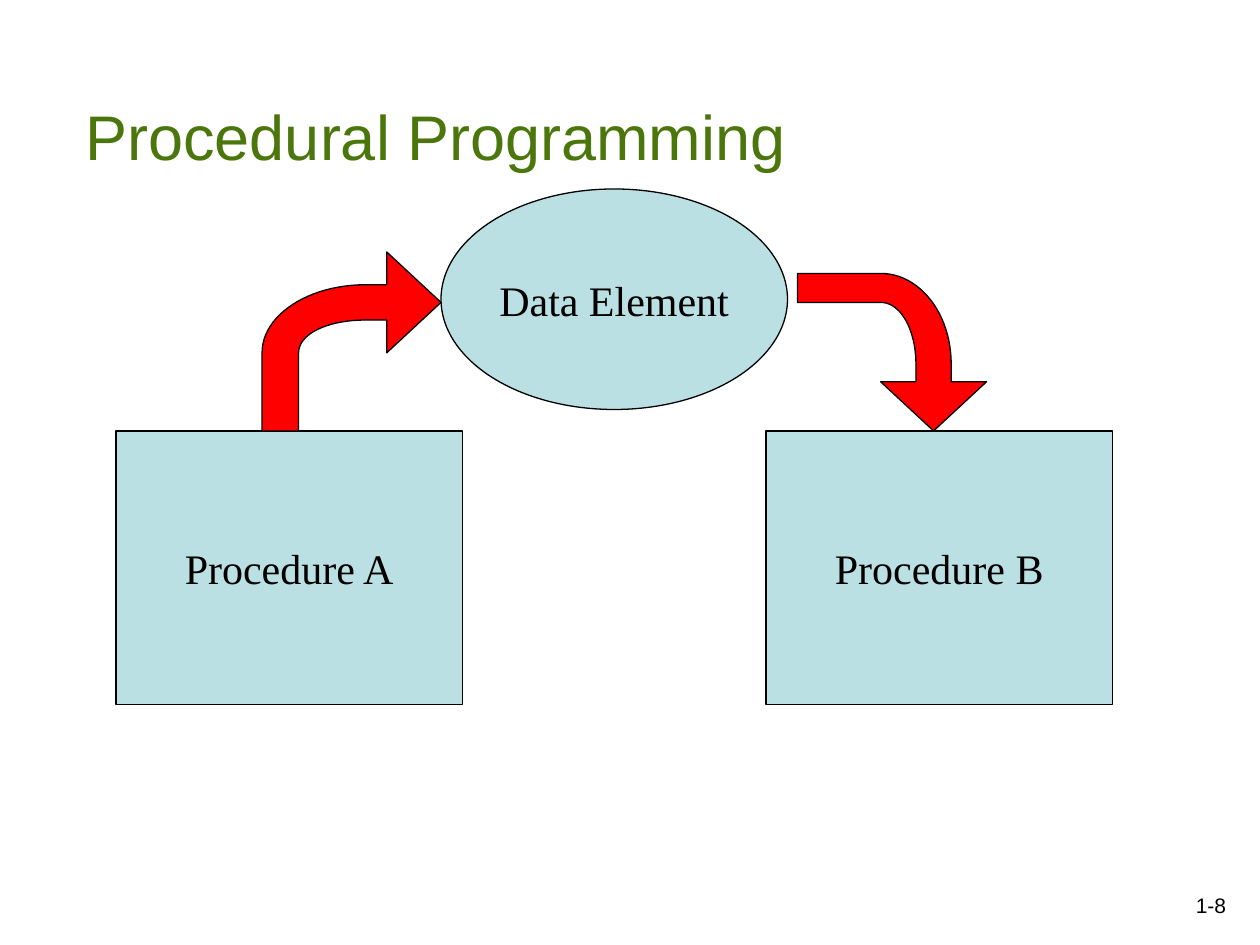
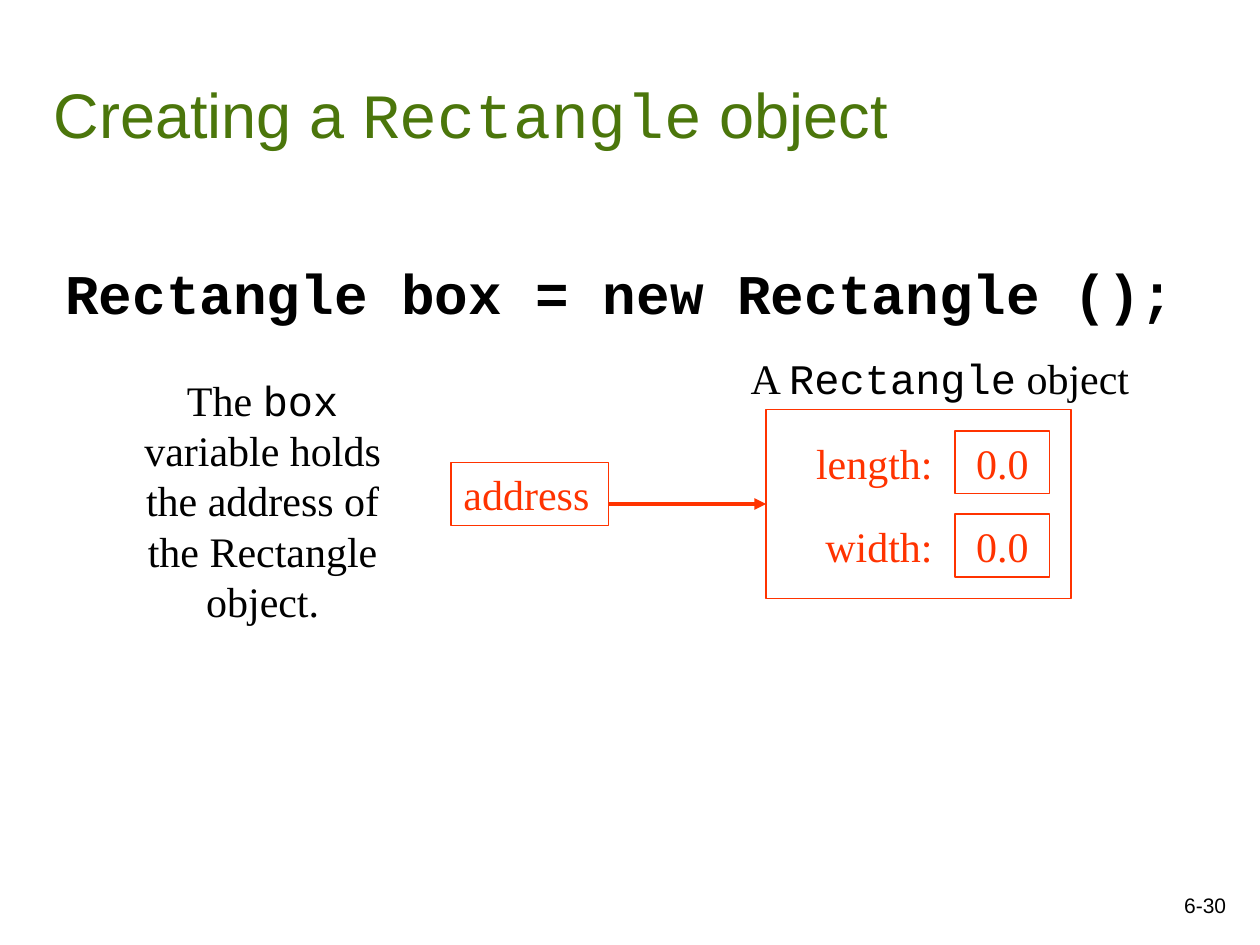
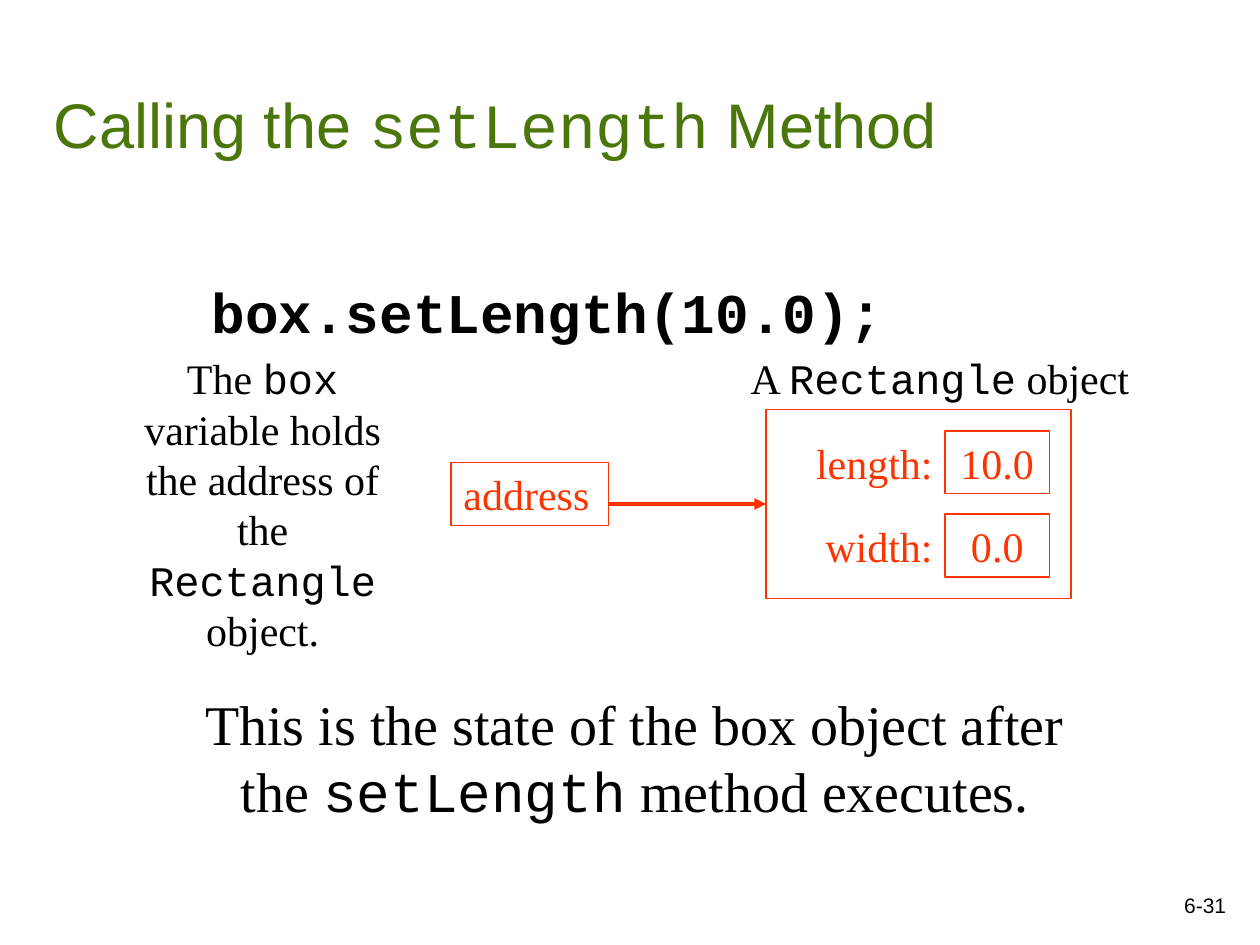
from lxml.etree import SubElement
from pptx import Presentation
from pptx.dml.color import RGBColor
from pptx.enum.shapes import MSO_CONNECTOR, MSO_SHAPE
from pptx.enum.text import MSO_ANCHOR, MSO_AUTO_SIZE, PP_ALIGN
from pptx.oxml.ns import qn
from pptx.util import Inches, Pt

COLORS = {"title": "4B760B", "text": "000000", "line": "000000",
          "node": "BBE0E3", "arrow": "FF0000", "object": "FF3300"}
SANS, SERIF, MONO = "Arial", "Times New Roman", "Courier New"

# Text styles shared by the slides
TITLE = {"font": SANS, "size": 36, "color": "title", "anchor": MSO_ANCHOR.BOTTOM}
NUMBER = {"font": SANS, "size": 12, "align": PP_ALIGN.RIGHT, "anchor": MSO_ANCHOR.BOTTOM}
CODE = {"font": MONO, "size": 32, "bold": True, "before": 8}
NODE = {"align": PP_ALIGN.CENTER, "anchor": MSO_ANCHOR.MIDDLE, "wrap": False}
NOTE = {"align": PP_ALIGN.CENTER, "fit": MSO_AUTO_SIZE.SHAPE_TO_FIT_TEXT}
VALUE = {**NOTE, "color": "object"}
LABEL = {**VALUE, "align": PP_ALIGN.RIGHT}
ADDRESS = {**VALUE, "align": PP_ALIGN.LEFT}


def add_text(s, at, text, style, kind=None, fill=None, line=None):
    """Add a text box, or a shape of a kind; words in backticks are monospaced."""
    box = [Inches(v) for v in at]
    if kind is None:
        sp = s.shapes.add_textbox(*box)
    else:
        sp = s.shapes.add_shape(kind, *box)
        paint(sp, fill, line)
    tf = sp.text_frame
    for name, value in {"word_wrap": style.get("wrap", True),
                        "auto_size": style.get("fit", MSO_AUTO_SIZE.NONE),
                        "vertical_anchor": style.get("anchor", MSO_ANCHOR.TOP)}.items():
        setattr(tf, name, value)
    p = tf.paragraphs[0]
    p.alignment = style.get("align", PP_ALIGN.LEFT)
    p.space_before = Pt(style.get("before", 0))
    for i, part in enumerate(text.split("`")):
        if part:
            r = p.add_run()
            r.text = part
            for name, value in {"name": MONO if i % 2 else style.get("font", SERIF),
                                "size": Pt(style.get("size", 24)),
                                "bold": style.get("bold", False)}.items():
                setattr(r.font, name, value)
            r.font.color.rgb = RGBColor.from_string(COLORS[style.get("color", "text")])


def paint(sp, fill, line):
    """Give a shape a flat fill, or none, and a thin outline."""
    sp.shadow.inherit = False
    if fill:
        sp.fill.solid()
        sp.fill.fore_color.rgb = RGBColor.from_string(COLORS[fill])
    else:
        sp.fill.background()
    sp.line.color.rgb = RGBColor.from_string(COLORS[line])
    sp.line.width = Pt(0.75)


prs = Presentation()
prs.slide_width, prs.slide_height = Inches(10), Inches(7.5)

# Every slide has a title and a number
slides = []
for number, title, at in [
    ("1-8", "Procedural Programming", (0.58, 0.33, 9.42, 1.09)),
    ("6-30", "Creating a `Rectangle` object", (0.33, 0, 8.5, 1.25)),
    ("6-31", "Calling the `setLength` Method", (0.33, 0.08, 8.5, 1.25)),
]:
    s = prs.slides.add_slide(prs.slide_layouts[6])
    add_text(s, (7.75, 6.83, 2.08, 0.5), number, NUMBER)
    add_text(s, at, title, TITLE)
    slides.append(s)

# Slide 1: two procedures around a data element
s = slides[0]
for text, kind, at in [
    ("Procedure A", MSO_SHAPE.RECTANGLE, (0.92, 3.42, 2.75, 2.17)),
    ("Data Element", MSO_SHAPE.OVAL, (3.5, 1.5, 2.75, 1.75)),
    ("Procedure B", MSO_SHAPE.RECTANGLE, (6.08, 3.42, 2.75, 2.17)),
]:
    add_text(s, at, text, NODE, kind, "node", "line")

# Bent arrows: a pair is a corner, four pairs are a Bezier curve
bent_arrows = [
    [(3.5, 2.4), (3.07, 2), (3.07, 2.26),
     ((2.9, 2.26), (2.45, 2.26), (2.08, 2.5), (2.08, 2.8)),
     (2.08, 3.42), (2.37, 3.42),
     ((2.37, 2.8), (2.37, 2.65), (2.6, 2.54), (2.9, 2.54)),
     (3.07, 2.54), (3.07, 2.8)],
    [(7.41, 3.42), (7.83, 3.03), (7.55, 3.03),
     ((7.55, 2.89), (7.55, 2.49), (7.3, 2.17), (6.99, 2.17)),
     (6.33, 2.17), (6.33, 2.4),
     ((6.99, 2.4), (7.15, 2.4), (7.27, 2.62), (7.27, 2.89)),
     (7.27, 3.03), (6.99, 3.03)],
]
STEPS = 24
for outline in bent_arrows:
    points = []
    for part in outline:
        if len(part) == 2:
            points.append(part)
            continue
        for t in (i / STEPS for i in range(STEPS + 1)):
            weights = ((1 - t) ** 3, 3 * t * (1 - t) ** 2, 3 * t * t * (1 - t), t ** 3)
            points.append([sum(w * v for w, v in zip(weights, axis)) for axis in zip(*part)])
    points = [(Inches(x), Inches(y)) for x, y in points]
    builder = s.shapes.build_freeform(*points[0])
    builder.add_line_segments(points[1:], close=True)
    paint(builder.convert_to_shape(), "arrow", "line")

# Slides 2 and 3: a variable that points to a Rectangle object
for s, code, code_at, length, value_left, note, note_at in [
    (slides[1], "Rectangle box = new Rectangle ();", (0.42, 2, 9.08, 0.75), "0.0", 7.58,
     "The `box `variable holds the address of the Rectangle object.", (0.92, 2.92, 2.33, 2.1)),
    (slides[2], "box.setLength(10.0);", (1.58, 2.15, 6.14, 0.73), "10.0", 7.5,
     "The `box `variable holds the address of the `Rectangle` object.", (0.92, 2.75, 2.33, 2.5)),
]:
    add_text(s, code_at, code, CODE)
    add_text(s, (3.58, 3.67, 1.25, 0.5), "address", ADDRESS, MSO_SHAPE.RECTANGLE, line="object")
    for top, label, value in [(3.42, "length:", length), (4.08, "width:", "0.0")]:
        add_text(s, (value_left, top, 8.33 - value_left, 0.5), value, VALUE,
                 MSO_SHAPE.RECTANGLE, line="object")
        add_text(s, (6.25, top, 1.25, 0.5), label, LABEL)
    frame = s.shapes.add_shape(MSO_SHAPE.RECTANGLE, Inches(6.08), Inches(3.25),
                               Inches(2.42), Inches(1.5))
    paint(frame, None, "object")
    pointer = s.shapes.add_connector(MSO_CONNECTOR.STRAIGHT, Inches(4.83), Inches(4),
                                     Inches(6.08), Inches(4))
    pointer.line.color.rgb = RGBColor.from_string(COLORS["object"])
    pointer.line.width = Pt(2.25)
    SubElement(pointer.line._get_or_add_ln(), qn("a:tailEnd"), type="triangle")
    SubElement(pointer._element.spPr, qn("a:effectLst"))
    add_text(s, note_at, note, NOTE)
    add_text(s, (5.5, 2.75, 3.92, 0.5), "A `Rectangle` object", NOTE)

add_text(slides[2], (1.5, 5.42, 7.08, 1.17),
         "This is the state of the box object after the `setLength` method executes.",
         {**NOTE, "size": 32})

prs.save("out.pptx")
